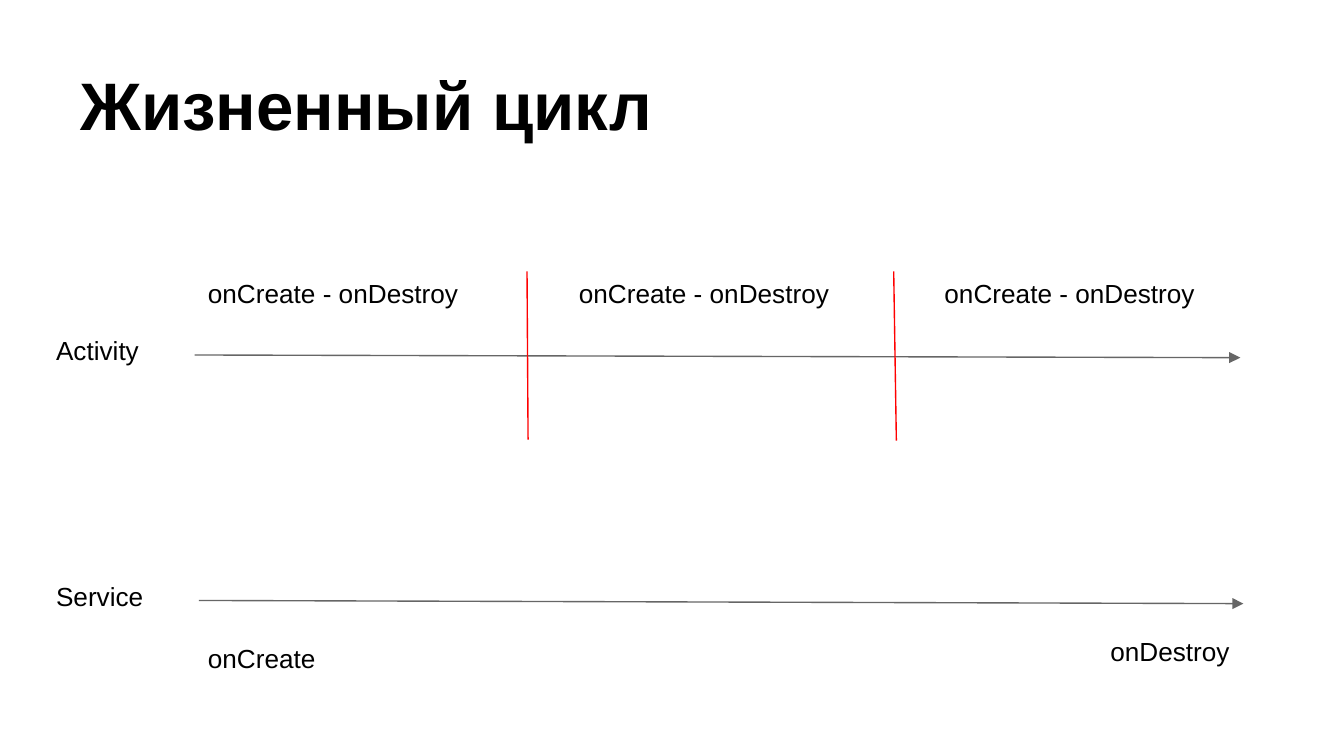
from dataclasses import dataclass

from lxml import etree
from pptx import Presentation
from pptx.dml.color import RGBColor
from pptx.enum.shapes import MSO_CONNECTOR
from pptx.enum.text import MSO_ANCHOR, PP_ALIGN
from pptx.oxml.ns import qn
from pptx.slide import Slide
from pptx.util import Cm, Pt

STRAIGHT = MSO_CONNECTOR.STRAIGHT
TOP, BOTTOM = MSO_ANCHOR.TOP, MSO_ANCHOR.BOTTOM
LEFT, RIGHT = PP_ALIGN.LEFT, PP_ALIGN.RIGHT

COLORS = {"background": "FFFFFF", "text": "000000", "axis": "666666", "divider": "FF0000"}
FONT = "Arial"
INSET = Cm(0.25)
BLANK_LAYOUT = 6


@dataclass(frozen=True)
class Label:
    """A piece of text; lengths in centimetres, size in points."""
    text: str
    left: float
    top: float
    width: float
    height: float
    size: int = 14
    bold: bool = False
    align: PP_ALIGN = LEFT
    anchor: MSO_ANCHOR = TOP


@dataclass(frozen=True)
class Line:
    """A straight line between two points in centimetres."""
    start: tuple[float, float]
    end: tuple[float, float]
    color: str
    arrow: bool = False


def add_label(slide: Slide, label: Label) -> None:
    """Add a text box for one label."""
    shape = slide.shapes.add_textbox(
        Cm(label.left), Cm(label.top), Cm(label.width), Cm(label.height))
    frame = shape.text_frame
    frame.word_wrap = True
    frame.vertical_anchor = label.anchor
    frame.margin_left = frame.margin_right = INSET
    frame.margin_top = frame.margin_bottom = INSET
    frame.text = label.text
    paragraph = frame.paragraphs[0]
    paragraph.alignment = label.align
    font = paragraph.runs[0].font
    font.name = FONT
    font.size = Pt(label.size)
    font.bold = label.bold
    font.color.rgb = RGBColor.from_string(COLORS["text"])


def add_line(slide: Slide, line: Line) -> None:
    """Add a thin connector, with an arrowhead at its end if wanted."""
    connector = slide.shapes.add_connector(
        STRAIGHT, *(Cm(value) for value in line.start + line.end))
    connector.line.width = Pt(0.75)
    connector.line.color.rgb = RGBColor.from_string(COLORS[line.color])
    if line.arrow:
        outline = connector.line._get_or_add_ln()
        etree.SubElement(outline, qn("a:tailEnd"), type="triangle", w="med", len="med")
    etree.SubElement(connector._element.spPr, qn("a:effectLst"))


TITLE = Label("Жизненный цикл", 1.27, 0.58, 22.86, 2.39, size=36, bold=True, anchor=BOTTOM)
ROW_NAMES = [Label(name, 0.81, top, 2.21, 1.3)
             for name, top in (("Activity", 6.07), ("Service", 10.72))]
ACTIVITY_LIVES = [Label("onCreate - onDestroy", left, 5, 5.87, 1.07)
                  for left in (3.68, 10.69, 17.6)]
SERVICE_EVENTS = [
    Label("onCreate", 3.68, 11.89, 3.56, 1.07),
    Label("onDestroy", 20.24, 11.76, 3.25, 1.3, align=RIGHT),
]
LINES = [
    Line((3.68, 6.71), (23.44, 6.76), "axis", arrow=True),
    Line((3.76, 11.35), (23.5, 11.41), "axis", arrow=True),
    Line((9.96, 5.13), (9.98, 8.31), "divider"),
    Line((16.89, 5.13), (16.94, 8.33), "divider"),
]


def main() -> None:
    """Build the life cycle slide."""
    presentation = Presentation()
    presentation.slide_width = Cm(25.4)
    presentation.slide_height = Cm(14.29)
    slide = presentation.slides.add_slide(presentation.slide_layouts[BLANK_LAYOUT])
    background = slide.background.fill
    background.solid()
    background.fore_color.rgb = RGBColor.from_string(COLORS["background"])
    for label in (TITLE, *ROW_NAMES, *ACTIVITY_LIVES, *SERVICE_EVENTS):
        add_label(slide, label)
    for line in LINES:
        add_line(slide, line)
    presentation.save("out.pptx")


main()
